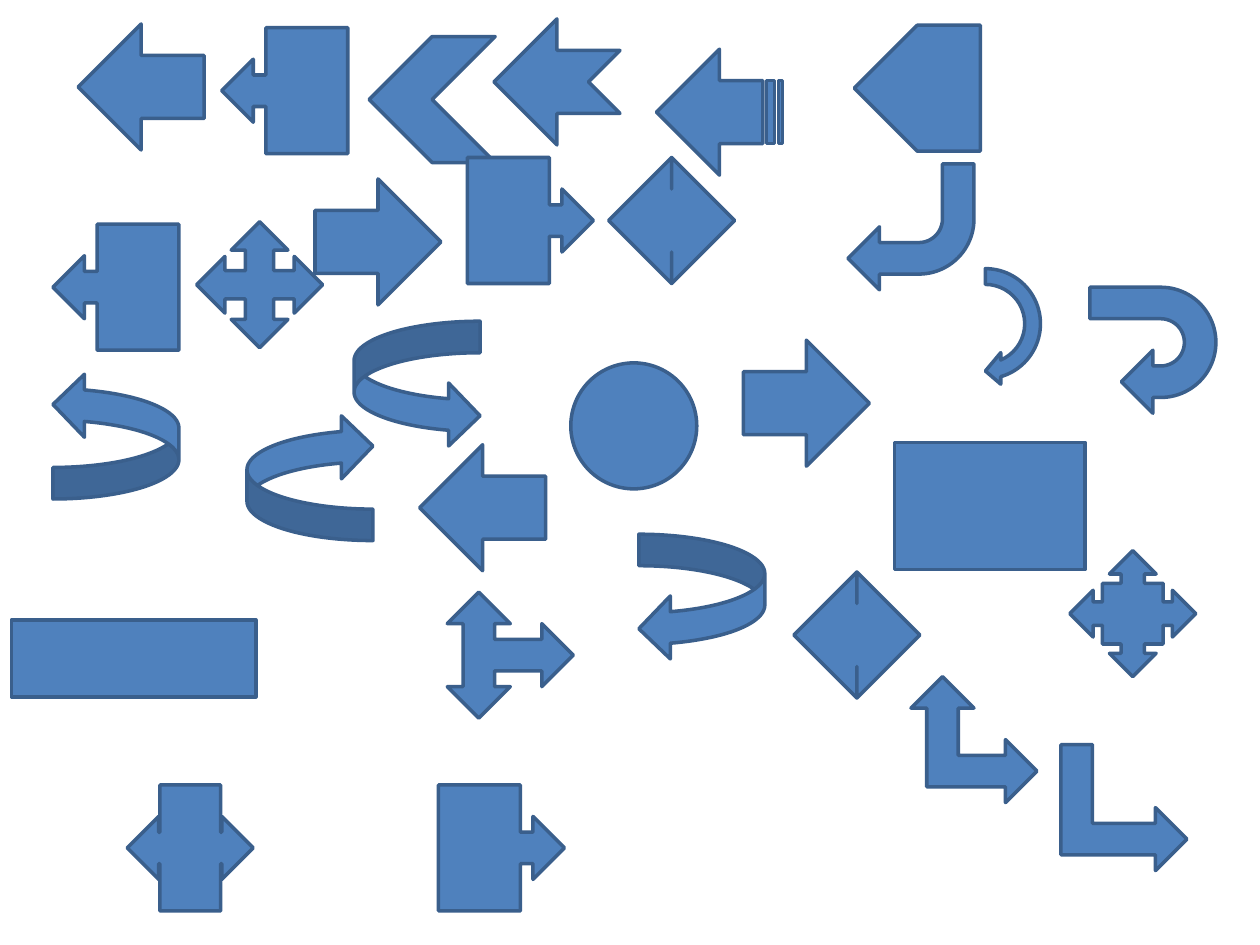
"""Build a slide that scatters rotated block arrows and basic shapes over a grid."""

from dataclasses import dataclass

from pptx import Presentation
from pptx.dml.color import RGBColor
from pptx.enum.shapes import MSO_SHAPE
from pptx.slide import Slide
from pptx.util import Inches, Pt

SLIDE_WIDTH, SLIDE_HEIGHT = Inches(10), Inches(7.5)
COLUMN = SLIDE_WIDTH / 10
ROW = SLIDE_HEIGHT / 7.5
BLANK_LAYOUT = 6
FILL = RGBColor(0x4F, 0x81, 0xBD)
OUTLINE = RGBColor(0x3A, 0x5F, 0x8C)
OUTLINE_WIDTH = Pt(2)
QUARTER_TURN, HALF_TURN = 90, 180


@dataclass(frozen=True)
class Block:
    """A preset shape placed in grid columns and rows."""

    kind: MSO_SHAPE
    column: float
    row: float
    rotation: int = HALF_TURN
    columns: float = 1
    rows: float = 1


BLOCKS = (
    Block(MSO_SHAPE.RECTANGLE, 0.09, 4.92, columns=1.94, rows=0.61),
    Block(MSO_SHAPE.OVAL, 4.53, 2.88),
    Block(MSO_SHAPE.RECTANGLE, 7.1, 3.51, columns=1.51, rows=1.01),
    Block(MSO_SHAPE.LEFT_ARROW, 2.5, 1.42),
    Block(MSO_SHAPE.UP_ARROW, 5.9, 2.7, QUARTER_TURN),
    Block(MSO_SHAPE.DOWN_ARROW, 3.33, 3.53, QUARTER_TURN),
    Block(MSO_SHAPE.LEFT_RIGHT_ARROW, 4.83, 1.25),
    Block(MSO_SHAPE.UP_DOWN_ARROW, 6.3, 4.54, QUARTER_TURN),
    Block(MSO_SHAPE.QUAD_ARROW, 1.56, 1.76),
    Block(MSO_SHAPE.LEFT_RIGHT_UP_ARROW, 3.55, 4.7, QUARTER_TURN),
    Block(MSO_SHAPE.BENT_ARROW, 6.73, 1.3),
    Block(MSO_SHAPE.U_TURN_ARROW, 8.65, 2.28, QUARTER_TURN),
    Block(MSO_SHAPE.LEFT_UP_ARROW, 7.23, 5.37, QUARTER_TURN),
    Block(MSO_SHAPE.BENT_UP_ARROW, 8.42, 5.91, QUARTER_TURN),
    Block(MSO_SHAPE.CURVED_RIGHT_ARROW, 0.42, 2.96),
    Block(MSO_SHAPE.CURVED_LEFT_ARROW, 1.96, 3.29),
    Block(MSO_SHAPE.CURVED_DOWN_ARROW, 5.07, 4.24, QUARTER_TURN),
    Block(MSO_SHAPE.CURVED_UP_ARROW, 2.81, 2.55, QUARTER_TURN),
    Block(MSO_SHAPE.STRIPED_RIGHT_ARROW, 5.21, 0.39),
    Block(MSO_SHAPE.NOTCHED_RIGHT_ARROW, 3.92, 0.15),
    Block(MSO_SHAPE.PENTAGON, 6.78, 0.2),
    Block(MSO_SHAPE.CHEVRON, 2.93, 0.29),
    Block(MSO_SHAPE.RIGHT_ARROW_CALLOUT, 1.76, 0.22),
    Block(MSO_SHAPE.DOWN_ARROW_CALLOUT, 0.42, 1.78, QUARTER_TURN),
    Block(MSO_SHAPE.LEFT_ARROW_CALLOUT, 3.71, 1.25),
    Block(MSO_SHAPE.UP_ARROW_CALLOUT, 3.48, 6.23, QUARTER_TURN),
    Block(MSO_SHAPE.LEFT_RIGHT_ARROW_CALLOUT, 1.01, 6.23),
    Block(MSO_SHAPE.QUAD_ARROW_CALLOUT, 8.49, 4.37),
    Block(MSO_SHAPE.CIRCULAR_ARROW, 7.32, 2.07, QUARTER_TURN),
    Block(MSO_SHAPE.RIGHT_ARROW, 0.62, 0.19),
)


def draw_block(slide: Slide, block: Block) -> None:
    shape = slide.shapes.add_shape(
        block.kind,
        round(block.column * COLUMN),
        round(block.row * ROW),
        round(block.columns * COLUMN),
        round(block.rows * ROW),
    )
    shape.rotation = block.rotation
    shape.shadow.inherit = False
    shape.fill.solid()
    shape.fill.fore_color.rgb = FILL
    shape.line.color.rgb = OUTLINE
    shape.line.width = OUTLINE_WIDTH


def main() -> None:
    presentation = Presentation()
    presentation.slide_width = SLIDE_WIDTH
    presentation.slide_height = SLIDE_HEIGHT
    slide = presentation.slides.add_slide(presentation.slide_layouts[BLANK_LAYOUT])
    for block in BLOCKS:
        draw_block(slide, block)
    presentation.save("out.pptx")


if __name__ == "__main__":
    main()
